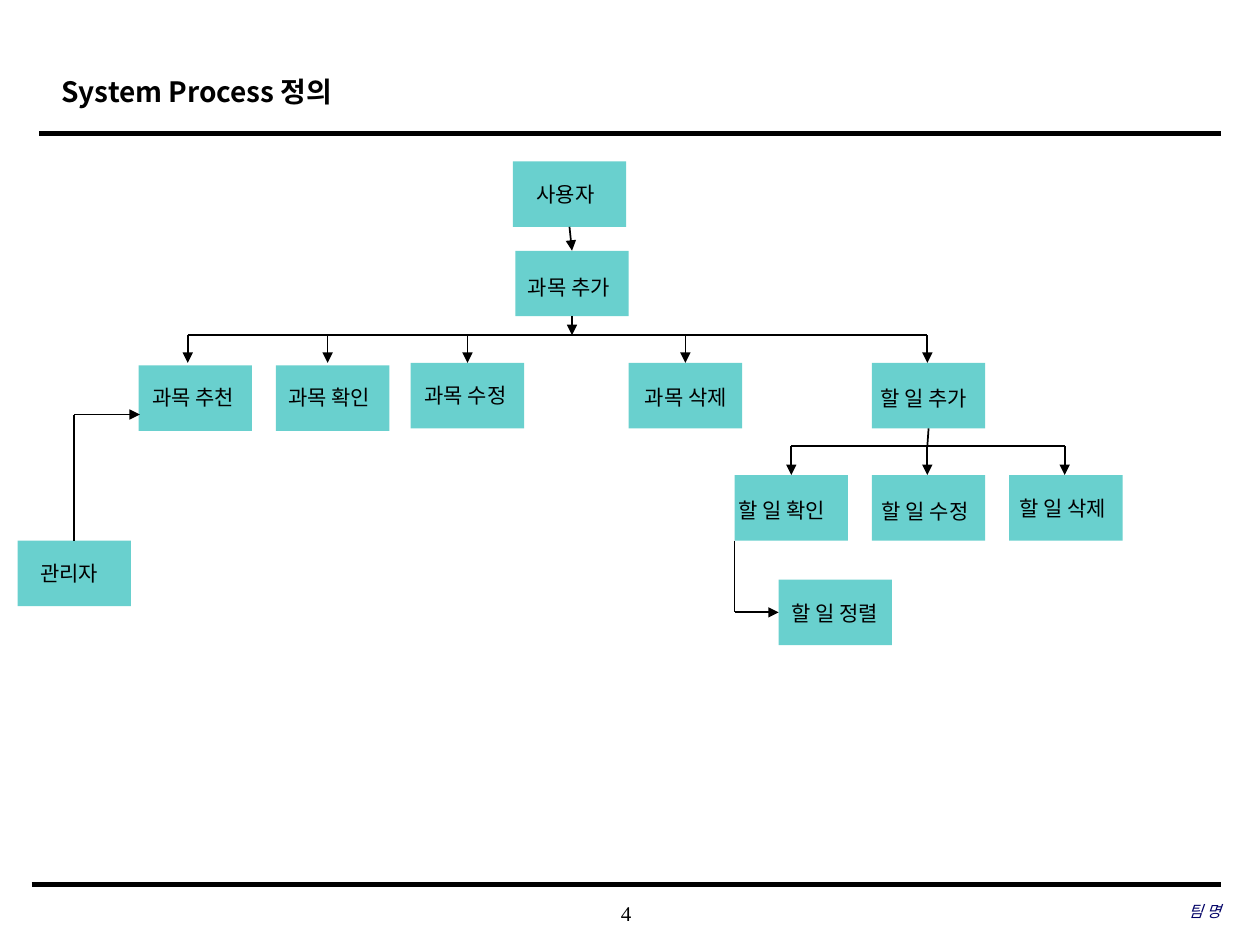
from lxml import etree
from pptx import Presentation, util as u
from pptx.dml.color import RGBColor
from pptx.enum import shapes, text
from pptx.oxml.ns import qn

COLORS = {"ink": "000000", "team": "000066", "node": "00B0AC"}
HANGUL = "Noto Sans CJK KR"
COLUMNS, ROWS = 100, 75
NODE_W, NODE_H = 9, 5.2

deck = Presentation()
deck.slide_width, deck.slide_height = u.Inches(10), u.Inches(7.5)
slide = deck.slides.add_slide(deck.slide_layouts[6])


def col(value):
    return round(deck.slide_width * value / COLUMNS)


def row(value):
    return round(deck.slide_height * value / ROWS)


def color(name):
    return RGBColor.from_string(COLORS[name])


def add_text(words, x, y, w, h, size=12, font="Arial", ink="ink", bold=False,
             italic=False, align=text.PP_ALIGN.LEFT, anchor=text.MSO_ANCHOR.TOP,
             inset=True, spacing=None):
    box = slide.shapes.add_textbox(col(x), row(y), col(w), row(h))
    frame = box.text_frame
    frame.word_wrap = True
    frame.vertical_anchor = anchor
    if not inset:
        frame.margin_left = frame.margin_right = 0
        frame.margin_top = frame.margin_bottom = 0
    paragraph = frame.paragraphs[0]
    paragraph.alignment = align
    paragraph.line_spacing = spacing
    run = paragraph.add_run()
    run.text = words
    run.font.name, run.font.size = font, u.Pt(size)
    run.font.bold, run.font.italic = bold, italic
    run.font.color.rgb = color(ink)
    east_asian = etree.SubElement(run.font._element, qn("a:ea"))
    east_asian.set("typeface", HANGUL)


def add_line(x1, y1, x2, y2, width=1, arrow=False):
    line = slide.shapes.add_connector(
        shapes.MSO_CONNECTOR.STRAIGHT, col(x1), row(y1), col(x2), row(y2))
    line.line.color.rgb = color("ink")
    line.line.width = u.Pt(width)
    if arrow:
        tail = etree.SubElement(line.line._get_or_add_ln(), qn("a:tailEnd"))
        tail.set("type", "triangle")
    etree.SubElement(line._element.spPr, qn("a:effectLst"))


def add_node(x, y):
    node = slide.shapes.add_shape(
        shapes.MSO_SHAPE.RECTANGLE, col(x), row(y), col(NODE_W), row(NODE_H))
    node.shadow.inherit = False
    node.fill.solid()
    node.fill.fore_color.rgb = color("node")
    node.line.fill.background()
    tint = node._element.spPr.find(".//" + qn("a:srgbClr"))
    etree.SubElement(tint, qn("a:alpha")).set("val", "59000")


def header(left, top, width):
    add_line(left, top + 5.7, left + width, top + 5.7, width=2.5)
    add_text("System Process 정의", left + 0.8, top, 75.5, 5, size=16,
             font=HANGUL, bold=True, spacing=1.2)


def footer(left, top, width):
    add_line(left, top, left + width, top, width=3)
    strip = dict(anchor=text.MSO_ANCHOR.MIDDLE, inset=False,
                 font="Times New Roman")
    add_text("4", left + 36.8, top + 0.6, 20.8, 3.3,
             align=text.PP_ALIGN.CENTER, **strip)
    add_text("팀 명", left + width - 30.6, top + 0.5, 30.6, 3.3, size=9,
             ink="team", italic=True, align=text.PP_ALIGN.RIGHT, **strip)


def branch(rail, foot, drops):
    add_line(drops[0], rail, drops[-1], rail)
    for drop in drops:
        add_line(drop, rail, drop, foot, arrow=True)


def process_tree(left, top):
    nodes = [
        ("사용자", 39.3, 0, 0.9, 1.1, 9.2),
        ("과목 추가", 39.5, 7.1, 0, 1.4, 9.2),
        ("과목 추천", 9.6, 16.2, 0.1, 1, 9.2),
        ("과목 확인", 20.5, 16.2, 0, 1, 9.2),
        ("과목 수정", 31.2, 16, 0.1, 1.1, 9.2),
        ("과목 삭제", 48.5, 16, 0.3, 1.2, 9.2),
        ("할 일 추가", 67.8, 16, -0.3, 1.3, 11.7),
        ("할 일 확인", 56.9, 24.9, -0.7, 1.3, 10.3),
        ("할 일 수정", 67.8, 24.9, -0.2, 1.4, 10.5),
        ("할 일 삭제", 78.7, 24.9, -0.2, 1.1, 12.1),
        ("할 일 정렬", 60.4, 33.2, 0, 1.2, 10.1),
        ("관리자", 0, 30.1, 0.8, 1.1, 9.2),
    ]
    for _, x, y, *_ in nodes:
        add_node(left + x, top + y)

    branch(top + 13.8, top + 16,
           [left + drop for drop in (13.5, 24.6, 35.7, 53, 72.2)])
    branch(top + 22.6, top + 24.9,
           [left + drop for drop in (61.4, 72.2, 83.1)])
    links = [
        (43.8, 5.2, 44, 7.1, True),
        (44, 12.3, 44, 13.8, True),
        (72.3, 21.2, 72.2, 22.6, False),
        (56.9, 30.1, 56.9, 35.8, False),
        (56.9, 35.8, 60.4, 35.8, True),
        (4.5, 30.1, 4.5, 20.1, False),
        (4.5, 20.1, 9.7, 20.1, True),
    ]
    for x1, y1, x2, y2, arrow in links:
        add_line(left + x1, top + y1, left + x2, top + y2, arrow=arrow)

    for label, x, y, shift_x, shift_y, label_w in nodes:
        add_text(label, left + x + shift_x, top + y + shift_y, label_w, 3)


header(3.1, 4.9, 93.8)
footer(2.5, 70.2, 94.4)
process_tree(1.4, 12.8)
deck.save("out.pptx")
